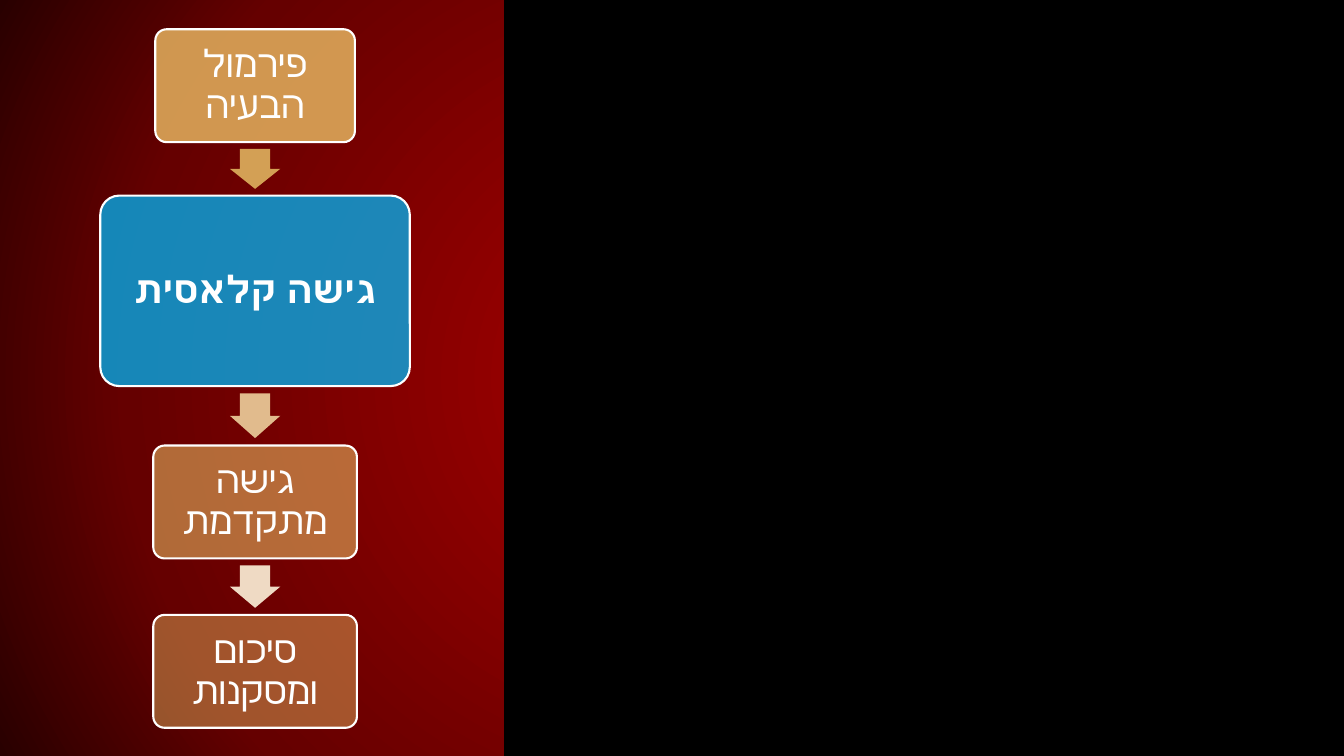
import pptx
import pptx.util
import pptx.oxml
import pptx.oxml.ns
import pptx.dml.color
import pptx.enum.shapes
import pptx.enum.text
from lxml import etree

Inches = pptx.util.Inches
SHAPES = pptx.enum.shapes.MSO_SHAPE

THEME = {
    "font": "Cambria", "size": 27, "text": "FFFFFF", "outline": "FFFFFF",
    "panel": "000000", "gold": "DDA859", "highlight": "00B0F0",
    "background": [(17, "960000"), (71, "650000"), (100, "290000")],
}

# text, top, width, height, fill, opacity in percent, bold
STEPS = [
    ("פירמול הבעיה", 0.29, 1.98, 1.12, THEME["gold"], 90, False),
    ("גישה קלאסית", 1.94, 3.07, 1.89, THEME["highlight"], 77, True),
    ("גישה מתקדמת", 4.42, 2.02, 1.12, THEME["gold"], 63, False),
    ("סיכום ומסקנות", 6.1, 2.02, 1.12, THEME["gold"], 50, False),
]
ARROW_FILLS = ["D3A055", "E1BB8D", "EFDAC4"]

SLIDE_WIDTH, SLIDE_HEIGHT = 13.33, 7.5
PANEL_LEFT = 5
FLOW_CENTER = 2.53
ARROW_BREADTH = 0.5
ARROW_SHARE = 0.75  # part of the gap between two steps
INSET = 0.11


def add_filled(slide, preset, left, top, width, height, fill):
    shape = slide.shapes.add_shape(
        preset, Inches(left), Inches(top), Inches(width), Inches(height))
    shape.shadow.inherit = False
    shape.fill.solid()
    shape.fill.fore_color.rgb = pptx.dml.color.RGBColor.from_string(fill)
    shape.line.fill.background()
    return shape


def set_background(slide):
    """Give the slide a round gradient that spreads from its centre."""
    slide.background.fill.solid()
    solid = next(slide.element.iter(pptx.oxml.ns.qn("a:solidFill")))
    stops = "".join(
        f'<a:gs pos="{position * 1000}"><a:srgbClr val="{color}"/></a:gs>'
        for position, color in THEME["background"])
    gradient = pptx.oxml.parse_xml(
        f'<a:gradFill {pptx.oxml.ns.nsdecls("a")} rotWithShape="1">'
        f'<a:gsLst>{stops}</a:gsLst><a:path path="circle">'
        '<a:fillToRect l="50000" t="50000" r="50000" b="50000"/>'
        '</a:path></a:gradFill>')
    solid.getparent().replace(solid, gradient)


def add_step(slide, text, top, width, height, fill, opacity, bold):
    box = add_filled(slide, SHAPES.ROUNDED_RECTANGLE,
                     FLOW_CENTER - width / 2, top, width, height, fill)
    box.adjustments[0] = 0.1
    color = next(box.element.spPr.iter(pptx.oxml.ns.qn("a:srgbClr")))
    etree.SubElement(color, pptx.oxml.ns.qn("a:alpha"), val=str(opacity * 1000))
    box.line.color.rgb = pptx.dml.color.RGBColor.from_string(THEME["outline"])
    box.line.width = pptx.util.Pt(1.5)

    frame = box.text_frame
    frame.word_wrap = True
    frame.vertical_anchor = pptx.enum.text.MSO_ANCHOR.MIDDLE
    frame.margin_left = frame.margin_right = Inches(INSET)
    frame.margin_top = frame.margin_bottom = Inches(INSET)
    label = frame.paragraphs[0]
    label.text = text
    label.alignment = pptx.enum.text.PP_ALIGN.CENTER
    label.line_spacing = 0.9
    label.font.name = THEME["font"]
    label.font.size = pptx.util.Pt(THEME["size"])
    label.font.bold = bold
    label.font.color.rgb = pptx.dml.color.RGBColor.from_string(THEME["text"])
    properties = label._p.get_or_add_pPr()
    properties.set("rtl", "1")


def add_arrow(slide, gap_top, gap_bottom, fill):
    length = ARROW_SHARE * (gap_bottom - gap_top)
    middle = (gap_top + gap_bottom) / 2
    arrow = add_filled(slide, SHAPES.RIGHT_ARROW, FLOW_CENTER - length / 2,
                       middle - ARROW_BREADTH / 2, length, ARROW_BREADTH, fill)
    arrow.rotation = 90
    arrow.adjustments[0] = 0.6
    arrow.adjustments[1] = 0.5


def main():
    deck = pptx.Presentation()
    deck.slide_width = Inches(SLIDE_WIDTH)
    deck.slide_height = Inches(SLIDE_HEIGHT)
    slide = deck.slides.add_slide(deck.slide_layouts[6])
    set_background(slide)
    add_filled(slide, SHAPES.RECTANGLE, PANEL_LEFT, 0,
               SLIDE_WIDTH - PANEL_LEFT, SLIDE_HEIGHT, THEME["panel"])
    for step in STEPS:
        add_step(slide, *step)
    for upper, lower, fill in zip(STEPS, STEPS[1:], ARROW_FILLS):
        add_arrow(slide, upper[1] + upper[3], lower[1], fill)
    deck.save("out.pptx")


if __name__ == "__main__":
    main()
